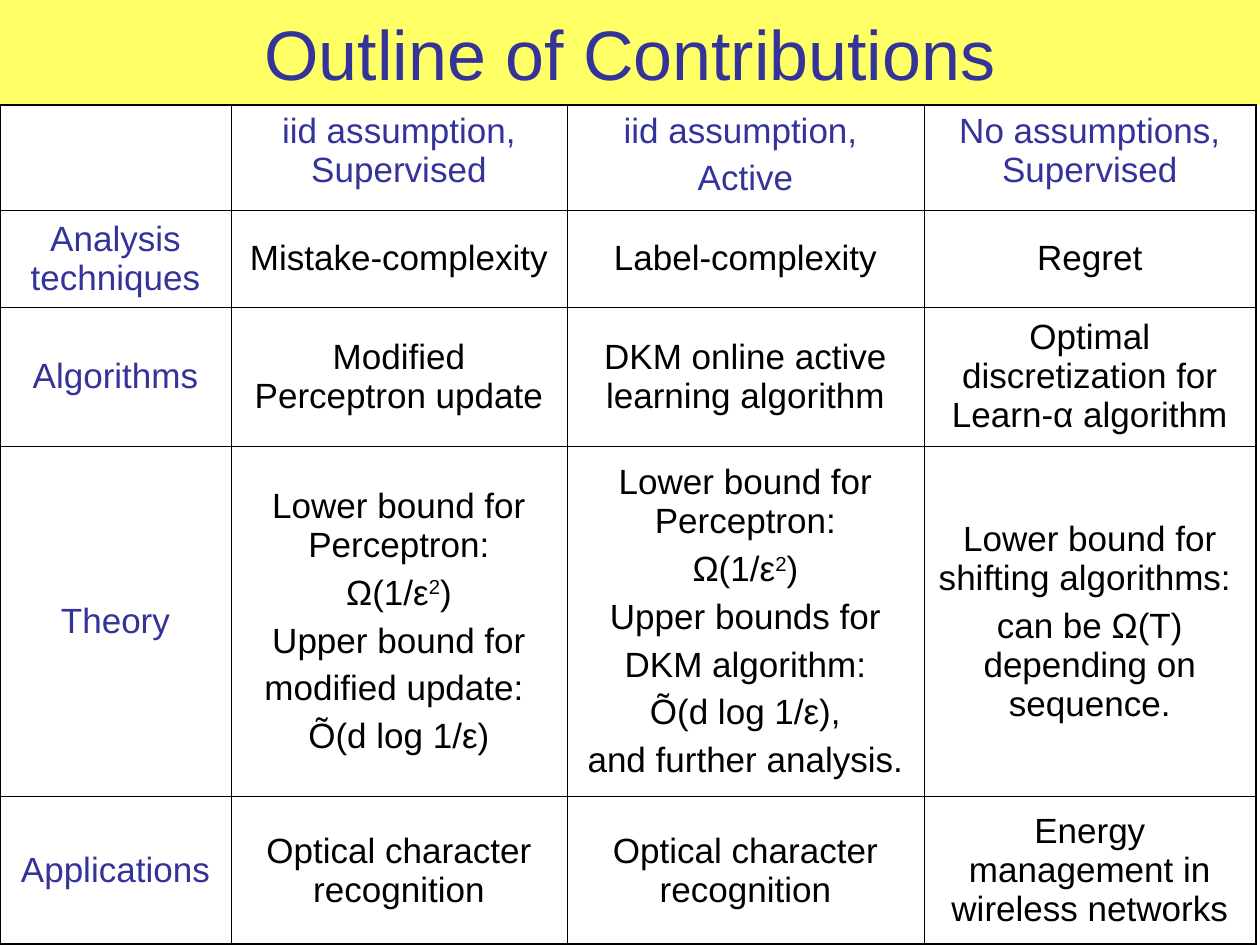
import dataclasses
import typing

import lxml.etree
import pptx
import pptx.dml.color
import pptx.enum.text
import pptx.oxml.ns
import pptx.util


@dataclasses.dataclass(frozen=True)
class Theme:
    font: str = "Arial"
    band: str = "FFFF66"
    head: str = "333399"
    body: str = "000000"
    line: str = "000000"
    title: int = 40
    text: int = 20
    gap: int = 5
    thick: float = 1.08
    thin: float = 0.45


class Run(typing.NamedTuple):
    text: str
    raised: bool = False


class Cell(typing.NamedTuple):
    paras: tuple[tuple[Run, ...], ...]


THEME = Theme()
UNIT = pptx.util.Inches(10) // 120  # the slide is a grid of 120 by 90 units
BAND = 10
COLS = (22, 32, 34, 31.6)
ROWS = (10, 9.25, 13.25, 33.4, 14)


def cell(*lines: str | tuple[Run, ...]) -> Cell:
    return Cell(tuple((Run(x),) if isinstance(x, str) else x for x in lines))


BOUND = (Run("Ω(1/ε"), Run("2", True), Run(")"))

GRID = (
    (cell(), cell("iid assumption, Supervised"),
     cell("iid assumption, ", "Active"), cell("No assumptions, Supervised")),
    (cell("Analysis techniques"), cell("Mistake-complexity"),
     cell("Label-complexity"), cell("Regret")),
    (cell("Algorithms"), cell("Modified Perceptron update"),
     cell("DKM online active learning algorithm"),
     cell("Optimal discretization for Learn-α algorithm")),
    (cell("Theory"),
     cell("Lower bound for Perceptron:", BOUND, "Upper bound for",
          "modified update: ", "Õ(d log 1/ε)"),
     cell("Lower bound for Perceptron:", BOUND, "Upper bounds for",
          "DKM algorithm:", "Õ(d log 1/ε),", "and further analysis."),
     cell("Lower bound for shifting algorithms: ",
          "can be Ω(T) depending on sequence.")),
    (cell("Applications"), cell("Optical character recognition"),
     cell("Optical character recognition"),
     cell("Energy management in wireless networks")),
)


def units(count: float) -> int:
    return round(count * UNIT)


def color(code: str) -> pptx.dml.color.RGBColor:
    return pptx.dml.color.RGBColor.from_string(code)


def write(frame, data: Cell, size: int, ink: str) -> None:
    """Fill a text frame with centred paragraphs, run by run."""
    for i, runs in enumerate(data.paras):
        para = frame.add_paragraph() if i else frame.paragraphs[0]
        para.alignment = pptx.enum.text.PP_ALIGN.CENTER
        if i:
            para.space_before = pptx.util.Pt(THEME.gap)
        for item in runs:
            run = para.add_run()
            run.text = item.text
            run.font.name = THEME.font
            run.font.size = pptx.util.Pt(size)
            run.font.color.rgb = color(ink)
            if item.raised:
                run.font._element.set("baseline", "30000")


def border(box, widths: dict[str, float]) -> None:
    """Draw the four sides of a table cell, ahead of its fill."""
    props = box._tc.get_or_add_tcPr()
    qn = pptx.oxml.ns.qn
    for i, (side, width) in enumerate(widths.items()):
        line = lxml.etree.Element(qn(f"a:ln{side}"), w=str(pptx.util.Pt(width)))
        fill = lxml.etree.SubElement(line, qn("a:solidFill"))
        lxml.etree.SubElement(fill, qn("a:srgbClr"), val=THEME.line)
        props.insert(i, line)


def add_title(slide, text: str, width: int) -> None:
    title = slide.shapes.title
    title.left, title.top = 0, 0
    title.width, title.height = width, units(BAND)
    title.fill.solid()
    title.fill.fore_color.rgb = color(THEME.band)
    frame = title.text_frame
    frame.word_wrap = True
    frame.auto_size = pptx.enum.text.MSO_AUTO_SIZE.NONE
    frame.vertical_anchor = pptx.enum.text.MSO_ANCHOR.MIDDLE
    write(frame, cell(text), THEME.title, THEME.head)


def add_grid(slide) -> None:
    table = slide.shapes.add_table(
        len(ROWS), len(COLS), 0, units(BAND),
        units(sum(COLS)), units(sum(ROWS))).table
    table.first_row = table.horz_banding = False
    for col, width in zip(table.columns, COLS):
        col.width = units(width)
    for row, height in zip(table.rows, ROWS):
        row.height = units(height)

    anchor = pptx.enum.text.MSO_ANCHOR
    for r, row in enumerate(GRID):
        for c, data in enumerate(row):
            box = table.cell(r, c)
            box.fill.background()
            box.vertical_anchor = anchor.MIDDLE if r else anchor.TOP
            # Outer edges are thick, inner ones thin
            edges = {"L": c == 0, "R": c == len(COLS) - 1,
                     "T": r == 0, "B": r == len(ROWS) - 1}
            border(box, {side: THEME.thick if outer else THEME.thin
                         for side, outer in edges.items()})
            # Header row and first column share the heading colour
            ink = THEME.body if r and c else THEME.head
            write(box.text_frame, data, THEME.text, ink)


def main() -> None:
    deck = pptx.Presentation()
    deck.slide_width, deck.slide_height = units(120), units(90)
    slide = deck.slides.add_slide(deck.slide_layouts.get_by_name("Title Only"))
    add_title(slide, "Outline of Contributions", deck.slide_width)
    add_grid(slide)
    deck.save("out.pptx")


if __name__ == "__main__":
    main()
